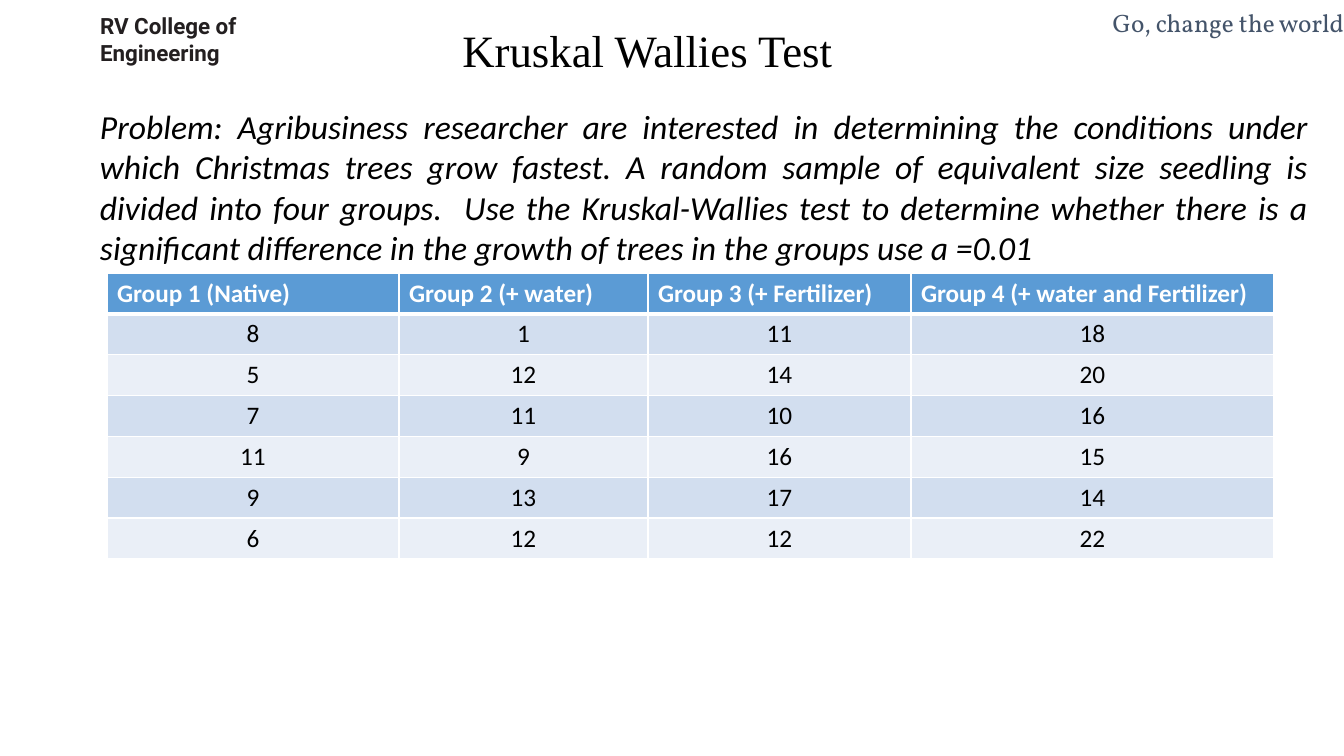
from dataclasses import dataclass

from lxml import etree
from pptx import Presentation
from pptx.dml.color import RGBColor
from pptx.enum.text import MSO_ANCHOR, PP_ALIGN
from pptx.oxml.ns import qn
from pptx.util import Emu, Pt

LEFT, CENTER, RIGHT, JUSTIFY = PP_ALIGN.LEFT, PP_ALIGN.CENTER, PP_ALIGN.RIGHT, PP_ALIGN.JUSTIFY
TOP = MSO_ANCHOR.TOP
EMU_PER_PX = 914400 / 100.8
TITLE_ONLY = 5


@dataclass(frozen=True)
class Theme:
    ink: str = "000000"
    college: str = "231F20"
    motto: str = "44546A"
    white: str = "FFFFFF"
    header: str = "5B9BD5"
    bands: tuple = ("D2DEEF", "EAEFF7")
    body_font: str = "Calibri"
    title_font: str = "Times New Roman"
    college_font: str = "Roboto"
    motto_font: str = "Vollkorn"
    title_size: int = 32
    problem_size: int = 24
    table_size: int = 18
    motto_size: int = 18
    college_size: int = 16


THEME = Theme()

PROBLEM = (
    "Problem: Agribusiness researcher are interested in determining the conditions "
    "under which Christmas trees grow fastest. A random sample of equivalent size "
    "seedling is divided into four groups.  Use the Kruskal-Wallies test to determine "
    "whether there is a significant difference in the growth of trees in the groups "
    "use a =0.01"
)
GROUPS = ["Group 1 (Native)", "Group 2 (+ water)", "Group 3 (+ Fertilizer)",
          "Group 4 (+ water and Fertilizer)"]
GROWTH = [
    [8, 1, 11, 18],
    [5, 12, 14, 20],
    [7, 11, 10, 16],
    [11, 9, 16, 15],
    [9, 13, 17, 14],
    [6, 12, 12, 22],
]
GROUP_WIDTHS = [292, 249, 263, 363]


def px(length):
    return Emu(round(length * EMU_PER_PX))


def write(frame, lines, font, size, color, align=LEFT, bold=False, italic=False):
    frame.word_wrap = True
    frame.text = "\n".join(lines)
    for paragraph in frame.paragraphs:
        paragraph.alignment = align
        for run in paragraph.runs:
            run.font.name = font
            run.font.size = Pt(size)
            run.font.color.rgb = RGBColor.from_string(color)
            run.font.bold = bold
            run.font.italic = italic


def set_insets(frame, left, top, right, bottom):
    frame.margin_left, frame.margin_top = px(left), px(top)
    frame.margin_right, frame.margin_bottom = px(right), px(bottom)


def add_text(slide, box, insets, *text, **style):
    frame = slide.shapes.add_textbox(*map(px, box)).text_frame
    set_insets(frame, *insets)
    write(frame, *text, **style)
    return frame


def add_college(slide, box):
    frame = add_text(slide, box, (1, 4, 0, 0), ["RV College of", "Engineering"],
                     THEME.college_font, THEME.college_size, THEME.college, bold=True)
    for paragraph in frame.paragraphs:
        paragraph.line_spacing = Pt(17.9)
    frame.paragraphs[-1].space_before = Pt(1.4)


def add_motto(slide, box):
    add_text(slide, box, (0, 0, 0, 0), ["Go, change the world"],
             THEME.motto_font, THEME.motto_size, THEME.motto, align=RIGHT)


def place_title(slide, box):
    title = slide.shapes.title
    title.left, title.top, title.width, title.height = map(px, box)
    frame = title.text_frame
    set_insets(frame, 10, 5, 34, 5)
    frame.vertical_anchor = TOP
    write(frame, ["Kruskal Wallies Test"], THEME.title_font, THEME.title_size,
          THEME.ink, align=CENTER)
    frame.paragraphs[0].line_spacing = 1.0


def add_problem(slide, box):
    add_text(slide, box, (10, 5, 10, 5), [PROBLEM], THEME.body_font,
             THEME.problem_size, THEME.ink, align=JUSTIFY, italic=True)


def set_borders(cell, **widths):
    """Draw white edges, given as L, R, T and B in points."""
    properties = cell._tc.get_or_add_tcPr()
    for position, (side, width) in enumerate(widths.items()):
        line = etree.Element(qn(f"a:ln{side}"), w=str(Pt(width)))
        fill = etree.SubElement(line, qn("a:solidFill"))
        etree.SubElement(fill, qn("a:srgbClr"), val=THEME.white)
        properties.insert(position, line)


def add_growth_table(slide, box):
    rows = [GROUPS] + GROWTH
    table = slide.shapes.add_table(len(rows), len(GROUPS), *map(px, box)).table
    for column, width in zip(table.columns, GROUP_WIDTHS):
        column.width = px(width)
    for r, values in enumerate(rows):
        is_header = r == 0
        table.rows[r].height = px(box[3] / len(rows))
        for c, value in enumerate(values):
            cell = table.cell(r, c)
            write(cell.text_frame, [str(value)], THEME.body_font, THEME.table_size,
                  THEME.white if is_header else THEME.ink,
                  align=LEFT if is_header else CENTER, bold=is_header)
            cell.fill.solid()
            cell.fill.fore_color.rgb = RGBColor.from_string(
                THEME.header if is_header else THEME.bands[(r - 1) % 2])
            set_borders(cell, L=1, R=1, T=3 if r == 1 else 1, B=3 if is_header else 1)


def build_problem_slide(presentation):
    slide = presentation.slides.add_slide(presentation.slide_layouts[TITLE_ONLY])
    add_college(slide, (99, 10, 151, 54))
    add_motto(slide, (938, 7, 406, 51))
    place_title(slide, (145, 18, 1029, 65))
    add_problem(slide, (90, 101, 1228, 173))
    add_growth_table(slide, (107, 273, sum(GROUP_WIDTHS), 286))


def main():
    presentation = Presentation()
    presentation.slide_width, presentation.slide_height = px(1344), px(756)
    build_problem_slide(presentation)
    presentation.save("out.pptx")


if __name__ == "__main__":
    main()
